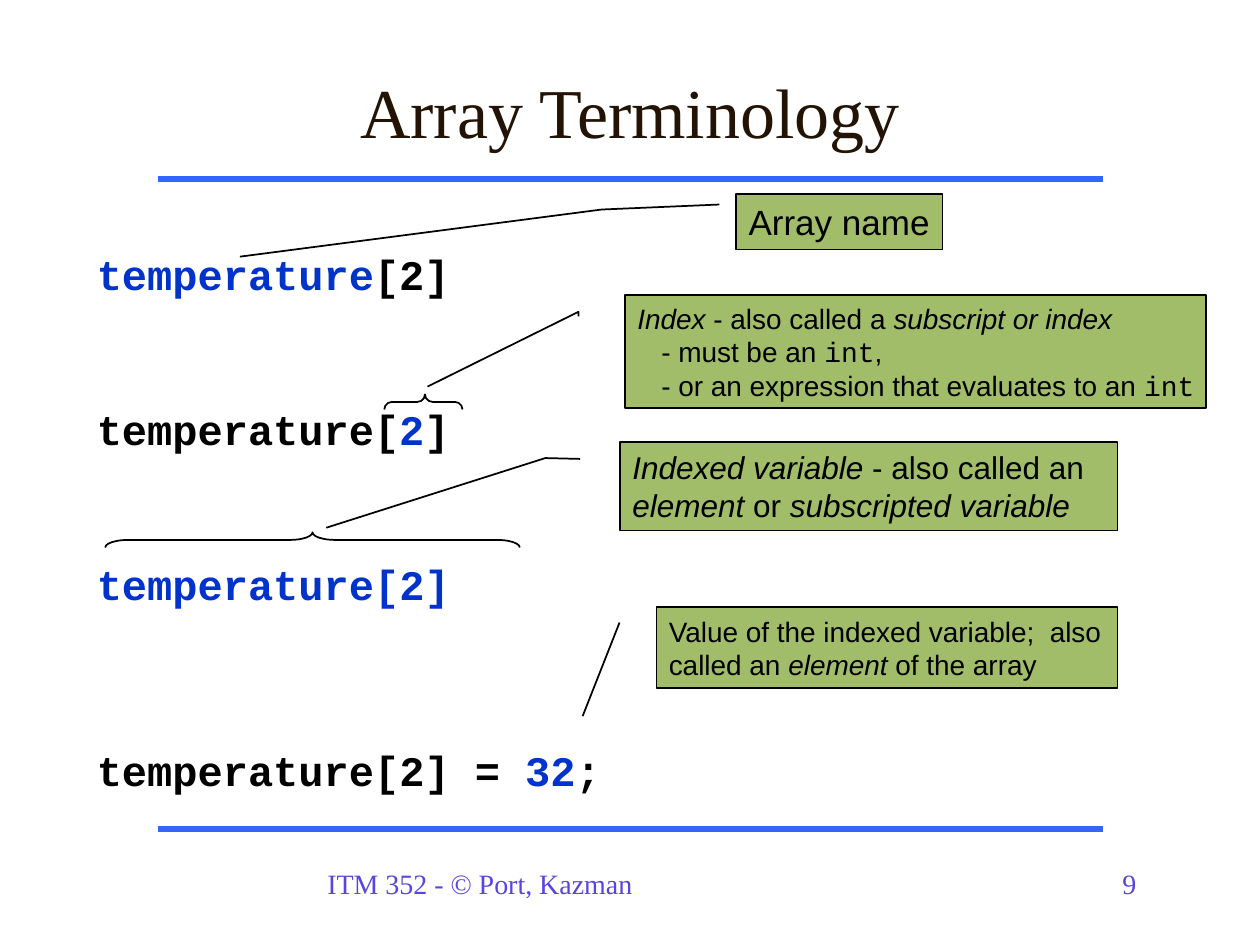
from pptx import Presentation
from pptx.dml.color import RGBColor
from pptx.enum import shapes, text
from pptx.util import Inches, Pt
from lxml import etree

COLORS = {"rule": "3366FF", "footer": "5745DD", "title": "221304", "accent": "0033CC",
          "ink": "000000", "note": "A1BD69"}
SERIF, SANS, MONO = "Times New Roman", "Arial", "Courier New"
ACCENT = {"color": "accent"}
ITALIC = {"italic": True}
CODE = {"font": MONO}

RULES = [1.42, 6.58]
FOOTERS = [("ITM 352 - © Port, Kazman", (2.5, 6.83, 4.17, 0.37)),
           ("9", (8.81, 6.83, 0.53, 0.37))]
CODE_LINES = [
    (6, [("temperature", ACCENT), ("[2]", {})]),
    (60, [("temperature[", {}), ("2", ACCENT), ("]", {})]),
    (60, [("temperature[2]", ACCENT)]),
    (77.5, [("temperature[2] = ", {}), ("32", ACCENT), (";", {})]),
]
BRACES = [((2.42, 2.64, 0.12, 3.29), (1.5, 0.5)),
          ((3.3, 2.88, 0.12, 0.62), (0.5, 0.48))]
CALLOUTS = [
    {"at": (5.84, 1.54, 1.64, 0.44), "size": 20, "wrap": False, "align": "CENTER",
     "leader": (0.19, -0.08, 0.28, -0.65, 1.13, -2.4),
     "lines": [(0, [("Array name", {})])]},
    {"at": (4.96, 2.34, 4.61, 0.9), "size": 16, "wrap": False, "align": "LEFT",
     "leader": (0.19, -0.08, 0.15, -0.08, 0.81, -0.34),
     "lines": [(0, [("Index", ITALIC), (" - also called a ", {}), ("subscript or index", ITALIC)]),
               (0.19, [("- must be an ", {}), ("int", CODE), (",", {})]),
               (0.19, [("- or an expression that evaluates to an ", {}), ("int", CODE)])]},
    {"at": (4.92, 3.51, 3.95, 0.7), "size": 18, "wrap": True, "align": "LEFT",
     "leader": (0.19, -0.08, 0.18, -0.15, 0.97, -0.59),
     "lines": [(0, [("Indexed variable", ITALIC), (" - also called an ", {}), ("element", ITALIC),
                    (" or ", {}), ("subscripted variable", ITALIC)])]},
    {"at": (5.21, 4.82, 3.66, 0.64), "size": 16, "wrap": True, "align": "LEFT",
     "leader": (0.19, -0.08, 1.35, -0.16),
     "lines": [(0, [("Value of the indexed variable;  also called an ", {}),
                    ("element", ITALIC), (" of the array", {})])]},
]


def place(at):
    return [Inches(value) for value in at]


def rgb(name):
    return RGBColor.from_string(COLORS[name])


def write(para, words, font=SANS, size=16, color="ink", bold=False, italic=False):
    span = para.add_run()
    span.text = words
    span.font.name = font
    span.font.size = Pt(size)
    span.font.color.rgb = rgb(color)
    span.font.bold = bold
    span.font.italic = italic


def next_para(frame, index):
    return frame.add_paragraph() if index else frame.paragraphs[0]


def add_text_box(page, at):
    frame = page.shapes.add_textbox(*place(at)).text_frame
    frame.word_wrap = True
    return frame


def add_rule(page, y):
    rule = page.shapes.add_connector(shapes.MSO_CONNECTOR.STRAIGHT, *place((1.25, y, 8.75, y)))
    rule.line.color.rgb = rgb("rule")
    rule.line.width = Pt(3)
    properties = rule._element.spPr
    etree.SubElement(properties, properties.tag.replace("/presentationml/", "/drawingml/").split("}")[0] + "}effectLst")


def add_outlined(page, kind, at, adjustments):
    shape = page.shapes.add_shape(kind, *place(at))
    shape.shadow.inherit = False
    shape.line.color.rgb = rgb("ink")
    shape.line.width = Pt(1)
    for index, value in enumerate(adjustments):
        shape.adjustments[index] = value
    return shape


def add_callout(page, note):
    bent = len(note["leader"]) == 6
    kind = shapes.MSO_SHAPE.LINE_CALLOUT_2 if bent else shapes.MSO_SHAPE.LINE_CALLOUT_1
    box = add_outlined(page, kind, note["at"], note["leader"])
    box.fill.solid()
    box.fill.fore_color.rgb = rgb("note")
    frame = box.text_frame
    frame.word_wrap = note["wrap"]
    frame.vertical_anchor = text.MSO_ANCHOR.MIDDLE
    for index, (indent, spans) in enumerate(note["lines"]):
        para = next_para(frame, index)
        para.alignment = getattr(text.PP_ALIGN, note["align"])
        if indent:
            para._p.get_or_add_pPr().set("marL", str(Inches(indent)))
        for words, style in spans:
            write(para, words, size=note["size"], **style)


def main():
    deck = Presentation()
    deck.slide_width, deck.slide_height = Inches(10), Inches(7.5)
    page = deck.slides.add_slide(deck.slide_layouts[5])

    title = page.shapes.title
    title.left, title.top, title.width, title.height = place((0.75, 0.25, 8.5, 1.25))
    title.text_frame.vertical_anchor = text.MSO_ANCHOR.MIDDLE
    heading = title.text_frame.paragraphs[0]
    heading.alignment = text.PP_ALIGN.CENTER
    write(heading, "Array Terminology", font=SERIF, size=40, color="title")

    for y in RULES:
        add_rule(page, y)
    for words, at in FOOTERS:
        para = add_text_box(page, at).paragraphs[0]
        para.space_before = Pt(10)
        write(para, words, font=SERIF, color="footer")

    code = add_text_box(page, (0.67, 1.92, 8.5, 4.5))
    for index, (gap, spans) in enumerate(CODE_LINES):
        para = next_para(code, index)
        para.space_before = Pt(gap)
        for words, style in spans:
            write(para, words, font=MONO, size=24, bold=True, **style)

    for at, adjustments in BRACES:
        brace = add_outlined(page, shapes.MSO_SHAPE.LEFT_BRACE, at, adjustments)
        brace.fill.background()
        brace.rotation = 90
    for note in CALLOUTS:
        add_callout(page, note)

    deck.save("out.pptx")


if __name__ == "__main__":
    main()
